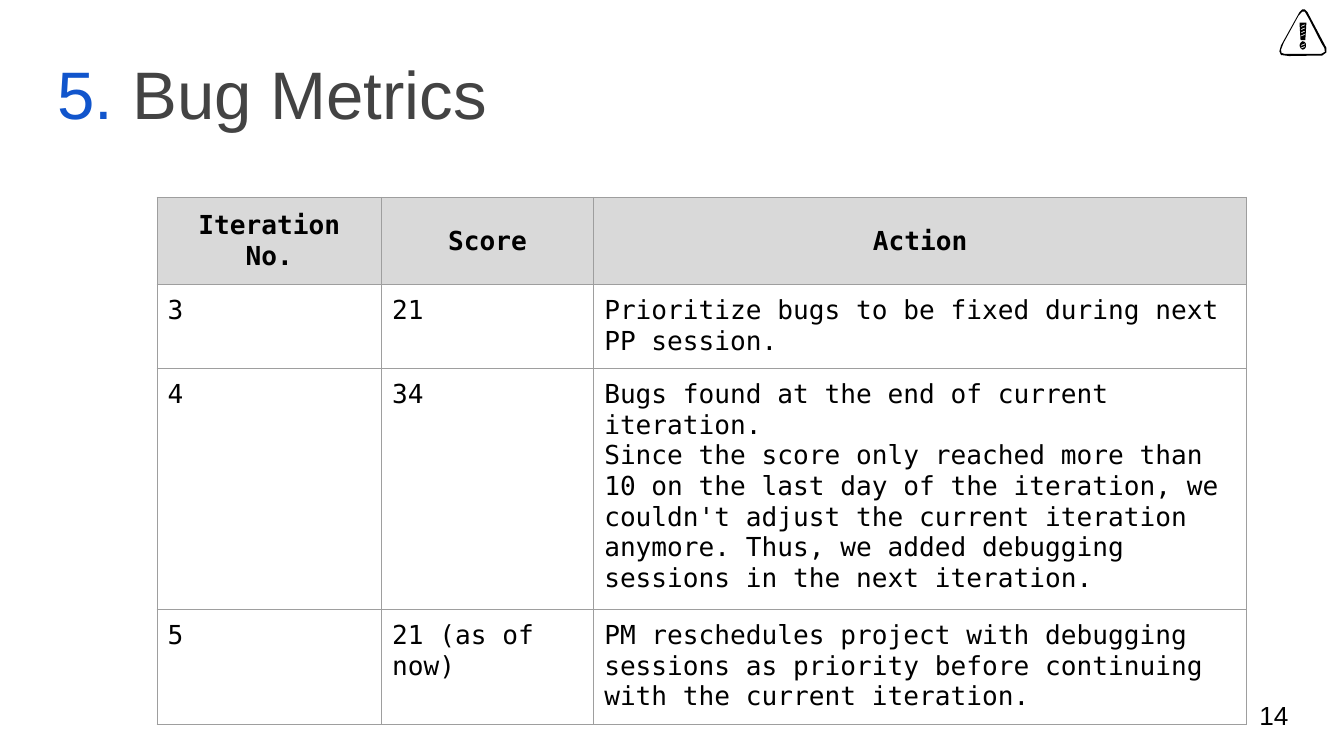
from dataclasses import dataclass
from math import cos, pi, sin

from lxml.etree import SubElement
from pptx import Presentation
from pptx.dml.color import RGBColor as Color
from pptx.enum.text import MSO_ANCHOR as Anchor, PP_ALIGN as Align
from pptx.oxml.ns import qn
from pptx.util import Cm, Pt


@dataclass(frozen=True)
class Theme:
    ink: str = "000000"
    accent: str = "1155CC"
    heading: str = "434343"
    paper: str = "FFFFFF"
    header_fill: str = "D9D9D9"
    border: str = "9E9E9E"
    border_width: float = 0.6
    title_size: int = 36
    body_size: int = 14
    sans: str = "Arial"
    mono: str = "DejaVu Sans Mono"


class SlideBuilder:
    def __init__(self, slide, theme):
        self.slide = slide
        self.theme = theme

    def text(self, box, runs, size, anchor):
        """Add a one-paragraph text box; runs are (text, colour) pairs."""
        shape = self.slide.shapes.add_textbox(*map(Cm, box))
        frame = shape.text_frame
        frame.word_wrap = True
        frame.vertical_anchor = anchor
        frame.margin_left = frame.margin_right = Cm(0.25)
        frame.margin_top = frame.margin_bottom = Cm(0.25)
        paragraph = frame.paragraphs[0]
        paragraph.font.size = Pt(size)
        paragraph.font.name = self.theme.sans
        for text, colour in runs:
            run = paragraph.add_run()
            run.text = text
            run.font.color.rgb = Color.from_string(colour)

    def outline(self, contours):
        """Add one filled shape from contours in hundredths of a centimetre."""
        first, *others = contours
        builder = self.slide.shapes.build_freeform(*first[0], scale=Cm(1) / 100)
        builder.add_line_segments(first[1:])
        for contour in others:
            builder.move_to(*contour[0])
            builder.add_line_segments(contour[1:])
        shape = builder.convert_to_shape()
        shape.shadow.inherit = False
        shape.fill.solid()
        shape.fill.fore_color.rgb = Color.from_string(self.theme.ink)
        shape.line.fill.background()

    def table(self, left, top, widths, heights, rows):
        """Add a table with a header row; rows grow to fit their text."""
        frame = self.slide.shapes.add_table(
            len(rows), len(widths), Cm(left), Cm(top), Cm(sum(widths)), Cm(sum(heights)))
        table = frame.table
        table.horz_banding = False
        for column, width in zip(table.columns, widths):
            column.width = Cm(width)
        for index, (row, height, texts) in enumerate(zip(table.rows, heights, rows)):
            row.height = Cm(height)
            for cell, text in zip(row.cells, texts):
                self.cell(cell, text, is_header=index == 0)

    def cell(self, cell, text, is_header):
        theme = self.theme
        cell.text = text
        cell.margin_left = cell.margin_right = Cm(0.2)
        cell.margin_top = cell.margin_bottom = Cm(0.2)
        cell.vertical_anchor = Anchor.MIDDLE if is_header else Anchor.TOP
        paragraph = cell.text_frame.paragraphs[0]
        paragraph.alignment = Align.CENTER if is_header else Align.LEFT
        font = paragraph.font
        font.name = theme.mono
        font.size = Pt(theme.body_size)
        font.bold = is_header
        font.color.rgb = Color.from_string(theme.ink)
        self.borders(cell)
        cell.fill.solid()
        fill = theme.header_fill if is_header else theme.paper
        cell.fill.fore_color.rgb = Color.from_string(fill)

    def borders(self, cell):
        properties = cell._tc.get_or_add_tcPr()
        for side in ("a:lnL", "a:lnR", "a:lnT", "a:lnB"):
            line = SubElement(properties, qn(side), w=str(Pt(self.theme.border_width)))
            fill = SubElement(line, qn("a:solidFill"))
            SubElement(fill, qn("a:srgbClr"), val=self.theme.border)


def warning_sign():
    """Contours of a hand-drawn triangle with a hatched exclamation mark."""
    outer = [(2461, 18), (2456, 23), (2421, 86), (2418, 97), (2421, 104), (2436, 106),
             (2499, 105), (2507, 99), (2507, 91), (2471, 23), (2466, 18)]
    inner = [(2461, 22), (2454, 30), (2426, 81), (2421, 94), (2422, 100), (2428, 102),
             (2497, 102), (2504, 98), (2503, 91), (2497, 81), (2474, 36), (2466, 22)]
    bar = [(2456, 43), (2469, 43), (2467, 76), (2458, 76)]
    dot = [(round(2462.5 + 6 * cos(step * pi / 8)), round(86 + 7.5 * sin(step * pi / 8)))
           for step in range(16)]
    hatches = [[(2459, y + 3), (2466, y), (2466, y + 2), (2459, y + 5)]
               for y in (46, 52, 58, 64, 82, 87)]
    contours = [outer, inner, bar, dot, *hatches]
    return [contour + contour[:1] for contour in contours]


ROWS = [
    ("Iteration No.", "Score", "Action"),
    ("3", "21", "Prioritize bugs to be fixed during next PP session."),
    ("4", "34", "Bugs found at the end of current iteration. \v"
                "Since the score only reached more than 10 on the last day of the "
                "iteration, we couldn't adjust the current iteration anymore. Thus, we "
                "added debugging sessions in the next iteration."),
    ("5", "21 (as of now)", "PM reschedules project with debugging sessions as priority "
                            "before continuing with the current iteration."),
]


def main():
    presentation = Presentation()
    presentation.slide_width = Cm(25.4)
    presentation.slide_height = Cm(14.29)
    theme = Theme()
    builder = SlideBuilder(
        presentation.slides.add_slide(presentation.slide_layouts[6]), theme)

    builder.text((23.55, 12.98, 1.52, 1.09), [("14", theme.ink)],
                 theme.body_size, Anchor.MIDDLE)
    builder.outline(warning_sign())
    builder.text((0.84, 0.56, 15.42, 2.21),
                 [("5. ", theme.accent), ("Bug Metrics", theme.heading)],
                 theme.title_size, Anchor.BOTTOM)
    builder.table(2.97, 3.73, (4.24, 4.01, 12.34), (1.65, 1.07, 1.07, 1.07), ROWS)

    presentation.save("out.pptx")


if __name__ == "__main__":
    main()
